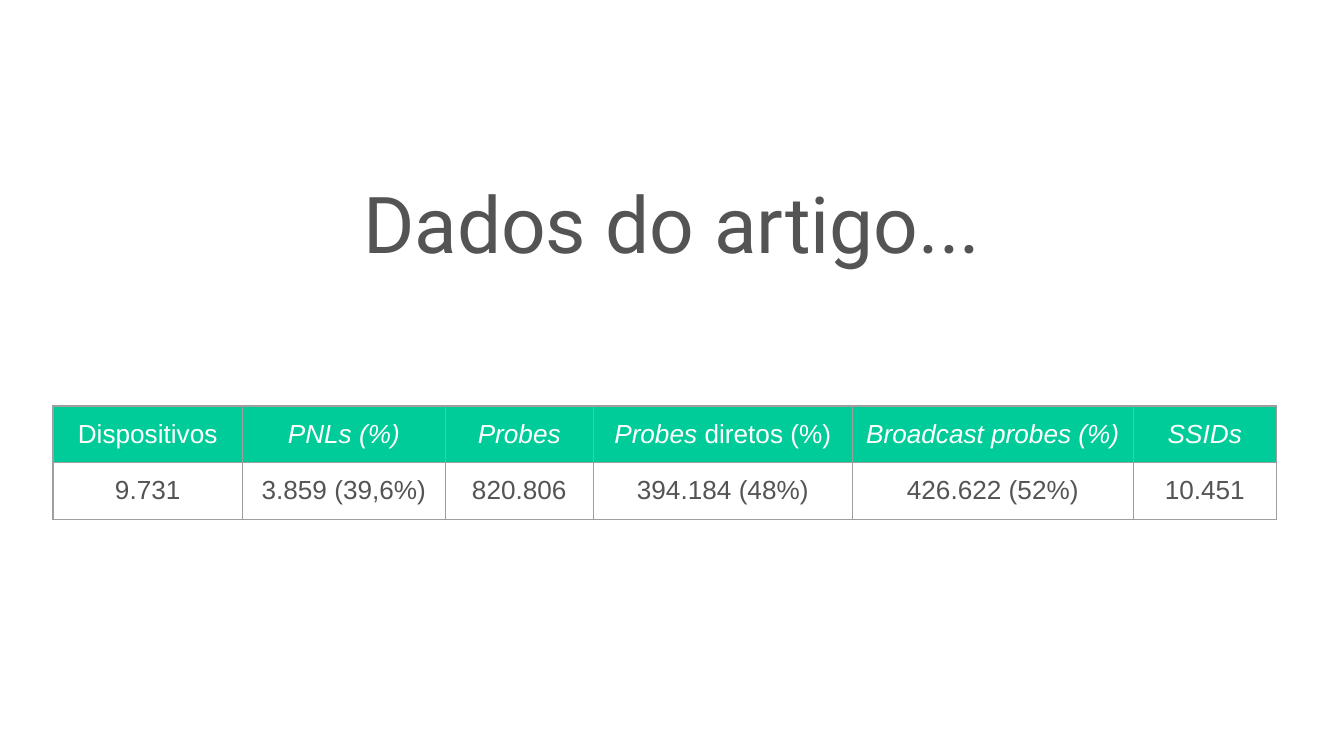
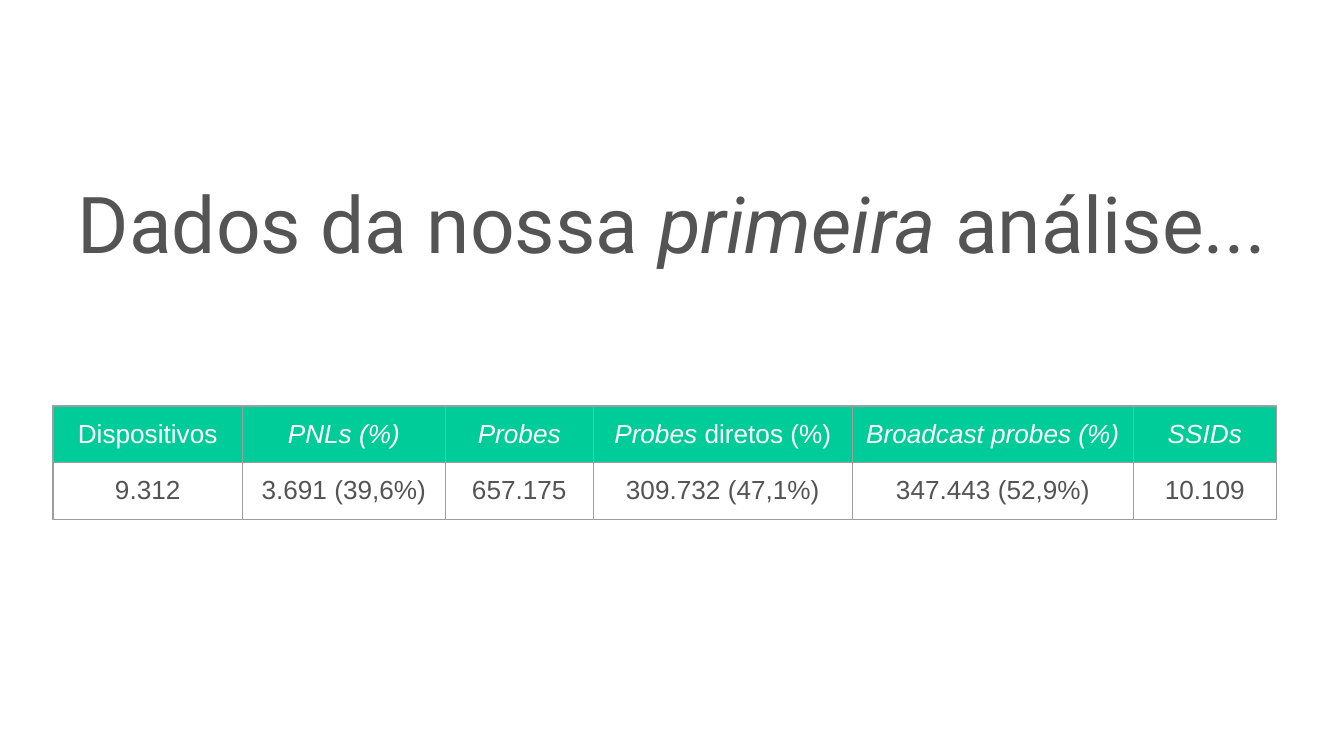
from dataclasses import dataclass

import pptx
import pptx.dml.color
import pptx.enum.text
import pptx.oxml
import pptx.oxml.ns
import pptx.util

Pt = pptx.util.Pt
RGBColor = pptx.dml.color.RGBColor


@dataclass(frozen=True)
class Theme:
    ink: str = "545454"
    header_fill: str = "00CC99"
    header_ink: str = "FFFFFF"
    border: str = "9E9E9E"
    border_width: float = 0.75
    title_font: str = "Roboto"
    title_size: int = 42
    table_font: str = "Arial"
    table_size: int = 14


THEME = Theme()
SLIDE_WIDTH, SLIDE_HEIGHT = 720, 405
TITLE_TOP, TITLE_HEIGHT = 76.3, 92.2
TABLE_LEFT, TABLE_TOP = 28.4, 217.5
COLUMN_WIDTHS = [101.5, 108.7, 79.3, 138.8, 150.5, 76.7]
ROW_HEIGHT = 30.4
CELL_MARGIN = 7.2

HEADERS = [
    [("Dispositivos", False)],
    [("PNLs (%)", True)],
    [("Probes", True)],
    [("Probes ", True), ("diretos (%)", False)],
    [("Broadcast probes (%)", True)],
    [("SSIDs", True)],
]

SLIDES = [
    (
        [("Dados do artigo...", False)],
        ["9.731", "3.859 (39,6%)", "820.806", "394.184 (48%)", "426.622 (52%)", "10.451"],
    ),
    (
        [("Dados da nossa ", False), ("primeira ", True), ("análise...", False)],
        ["9.312", "3.691 (39,6%)", "657.175", "309.732 (47,1%)", "347.443 (52,9%)", "10.109"],
    ),
]


def write_runs(paragraph, pieces, font, size, color):
    paragraph.alignment = pptx.enum.text.PP_ALIGN.CENTER
    for text, italic in pieces:
        run = paragraph.add_run()
        run.text = text
        run.font.name = font
        run.font.size = Pt(size)
        run.font.bold = False
        run.font.italic = italic
        run.font.color.rgb = RGBColor.from_string(color)


def set_borders(cell):
    properties = cell._tc.get_or_add_tcPr()
    for side in "LRTB":
        properties.append(pptx.oxml.parse_xml(
            f'<a:ln{side} {pptx.oxml.ns.nsdecls("a")} w="{Pt(THEME.border_width)}">'
            f'<a:solidFill><a:srgbClr val="{THEME.border}"/></a:solidFill>'
            f'</a:ln{side}>'
        ))


def fill_cell(cell, pieces, ink, fill=None):
    set_borders(cell)
    if fill:
        cell.fill.solid()
        cell.fill.fore_color.rgb = RGBColor.from_string(fill)
    else:
        cell.fill.background()
    cell.margin_left = cell.margin_right = Pt(CELL_MARGIN)
    cell.margin_top = cell.margin_bottom = Pt(CELL_MARGIN)
    paragraph = cell.text_frame.paragraphs[0]
    write_runs(paragraph, pieces, THEME.table_font, THEME.table_size, ink)


def set_title(slide, pieces):
    title = slide.shapes.title
    title.left, title.top = Pt(0), Pt(TITLE_TOP)
    title.width, title.height = Pt(SLIDE_WIDTH), Pt(TITLE_HEIGHT)
    frame = title.text_frame
    frame.word_wrap = True
    frame.auto_size = pptx.enum.text.MSO_AUTO_SIZE.NONE
    frame.vertical_anchor = pptx.enum.text.MSO_ANCHOR.MIDDLE
    frame.margin_left = frame.margin_right = Pt(5)
    frame.margin_top = frame.margin_bottom = Pt(2.7)
    paragraph = frame.paragraphs[0]
    paragraph.line_spacing = 0.9
    paragraph.space_before = Pt(0)
    write_runs(paragraph, pieces, THEME.title_font, THEME.title_size, THEME.ink)


def add_data_table(slide, values):
    table = slide.shapes.add_table(
        2, len(HEADERS), Pt(TABLE_LEFT), Pt(TABLE_TOP),
        Pt(sum(COLUMN_WIDTHS)), Pt(2 * ROW_HEIGHT),
    ).table
    table.first_row = table.horz_banding = False
    for row in table.rows:
        row.height = Pt(ROW_HEIGHT)
    for index, (width, header, value) in enumerate(zip(COLUMN_WIDTHS, HEADERS, values)):
        table.columns[index].width = Pt(width)
        fill_cell(table.cell(0, index), header, THEME.header_ink, THEME.header_fill)
        fill_cell(table.cell(1, index), [(value, False)], THEME.ink)


def main():
    presentation = pptx.Presentation()
    presentation.slide_width = Pt(SLIDE_WIDTH)
    presentation.slide_height = Pt(SLIDE_HEIGHT)
    title_only = presentation.slide_layouts.get_by_name("Title Only")
    for title, values in SLIDES:
        slide = presentation.slides.add_slide(title_only)
        set_title(slide, title)
        add_data_table(slide, values)
    presentation.save("out.pptx")


if __name__ == "__main__":
    main()
